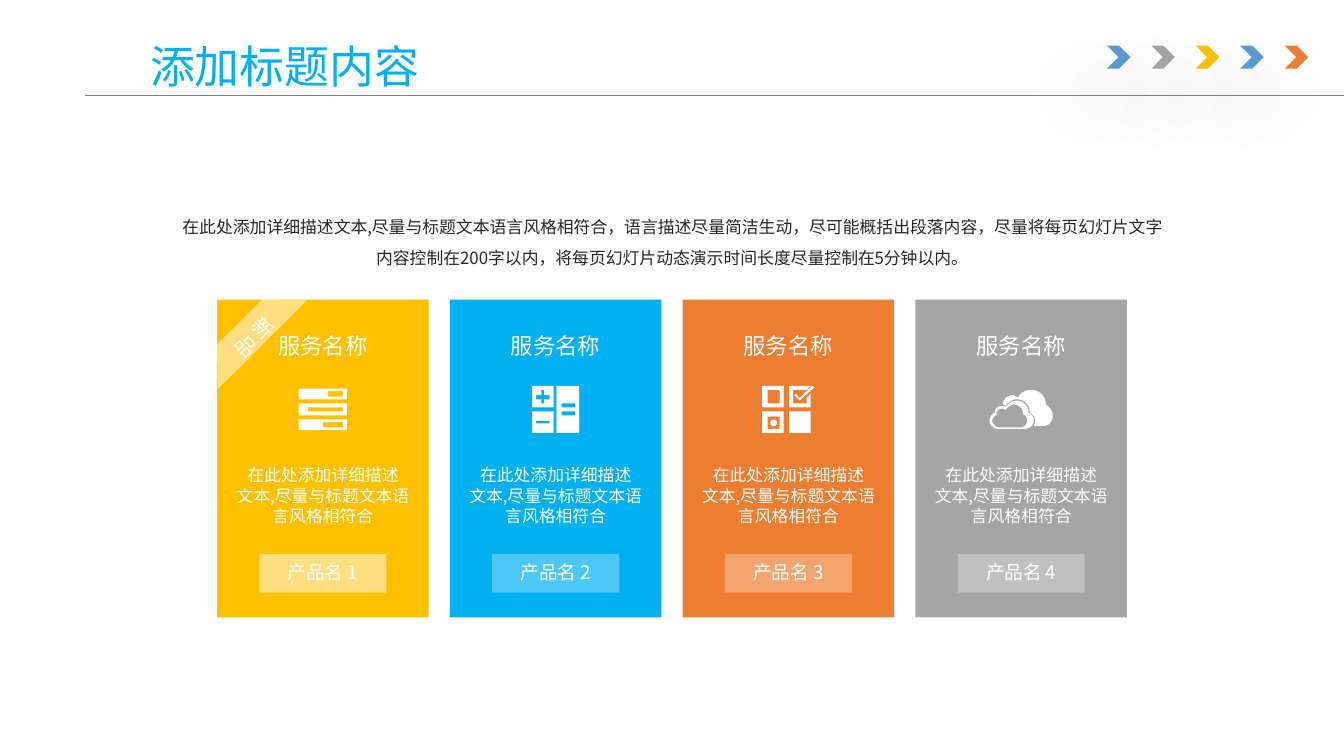
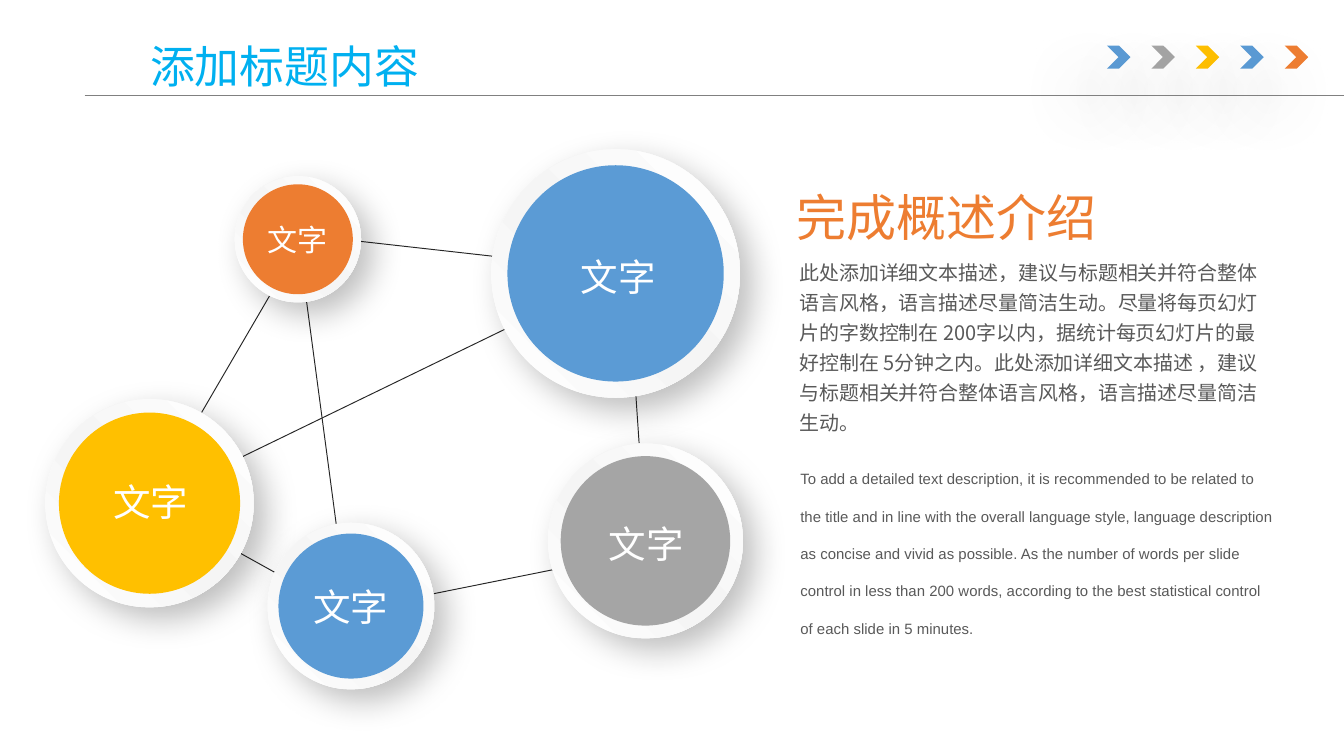
from dataclasses import dataclass
from math import cos, pi, sin

from lxml.etree import SubElement as Sub
from pptx import Presentation
from pptx.dml.color import RGBColor as Rgb
from pptx.enum.shapes import MSO_CONNECTOR as Wire, MSO_SHAPE as Kind
from pptx.enum.text import MSO_ANCHOR as Anchor, PP_ALIGN as Align
from pptx.oxml.ns import qn
from pptx.util import Pt


@dataclass(frozen=True)
class Theme:
    sky: str = "00B0F0"
    blue: str = "5B9BD5"
    gray: str = "A5A5A5"
    gold: str = "FFC000"
    rust: str = "ED7D31"
    white: str = "FFFFFF"
    pearl: str = "F5F5F5"
    ink: str = "262626"
    soft: str = "595959"
    rule: str = "808080"
    cjk: str = "Noto Sans CJK SC"
    latin: str = "Arial"
    title: float = 24
    lead: float = 26.8
    head: float = 12
    tag: float = 10
    ribbon: float = 11
    small: float = 9
    body: float = 10.7
    note: float = 8
    hair: float = 0.5
    pitch: float = 1.22  # line height of the CJK face, in ems


T = Theme()

# ---- Icon outlines, in hundredths of an inch; pairs are lines, sixes curves


def box(x, y, w, h):
    return [(x, y), (x + w, y), (x + w, y + h), (x, y + h)]


def dot(x, y, r, n=20):
    return [(x + r * cos(2 * pi * i / n), y + r * sin(2 * pi * i / n))
            for i in range(n)]


LIST = [box(18, 25, 15, 4), box(0, 23, 36, 8), box(7, 14, 26, 3),
        box(0, 11, 36, 9), box(22, 2, 11, 4), box(0, 0, 36, 8)]
SUMS = [box(3, 26, 10, 2), box(0, 19, 16, 16), box(22, 19, 10, 3),
        box(22, 13, 10, 3), box(18, 0, 17, 35), box(0, 0, 16, 16),
        [(7, 3), (7, 7), (3, 7), (3, 10), (7, 10), (7, 13),
         (9, 13), (9, 10), (13, 10), (13, 7), (9, 7), (9, 3)]]
CHECK = [dot(8.5, 27.5, 2.5), box(4, 23, 9, 9), box(20, 19, 16, 16),
         box(0, 19, 16, 16), box(4, 3, 9, 10), box(0, 0, 16, 16),
         [(20, 0), (36, 0), (33, 3), (23, 3), (23, 13), (33, 13),
          (33, 9), (36, 6), (36, 16), (20, 16)],
         [(37, 0), (39, 1), (29, 10), (28, 11), (24, 7), (25, 6), (28, 9)]]
CLOUD = [
    [(18, 11), (16, 11, 13, 13, 12, 15), (11, 14, 10, 14, 9, 14),
     (7, 14, 5, 16, 5, 18), (6, 18), (4, 19, 2, 21, 2, 23),
     (2, 25, 5, 28, 7, 28), (23, 28), (26, 28, 28, 25, 28, 23),
     (28, 21, 27, 19, 25, 18), (25, 14, 22, 11, 18, 11)],
    [(20, 8), (25, 8, 29, 12, 29, 17), (31, 18, 33, 20, 33, 23),
     (33, 26, 30, 29, 26, 29), (6, 29), (3, 29, 0, 26, 0, 23),
     (0, 20, 2, 18, 4, 17), (4, 14, 6, 12, 9, 12),
     (10, 12, 12, 12, 12, 13), (14, 10, 17, 8, 20, 8)],
    [(31, 0), (37, 0, 42, 5, 42, 11), (45, 13, 47, 16, 47, 19),
     (47, 24, 44, 27, 39, 27), (33, 27), (33, 26, 34, 25, 34, 23),
     (34, 20, 32, 18, 30, 17), (30, 11, 26, 7, 20, 7),
     (17, 7, 14, 9, 12, 12), (12, 12, 11, 11, 10, 11),
     (10, 7, 13, 4, 17, 4), (18, 4, 20, 5, 21, 6), (23, 2, 27, 0, 31, 0)]]
SASH = [[(0, 23.5), (24, 0), (24, 94), (0, 71)]]

# ---- Content
TITLE = "添加标题内容"
MARKS = [T.blue, T.gray, T.gold, T.blue, T.rust]
INTRO = ("在此处添加详细描述文本,尽量与标题文本语言风格相符合，语言描述尽量简洁生动，"
         "尽可能概括出段落内容，尽量将每页幻灯片文字内容控制在200字以内，"
         "将每页幻灯片动态演示时间长度尽量控制在5分钟以内。")
SERVICE = "服务名称"
DETAIL = ["在此处添加详细描述", "文本,尽量与标题文本语", "言风格相符合"]
NEW = "新品"
CARDS = [  # colour, icon, product, tag opacity
    (T.gold, LIST, "产品名 1", 50),
    (T.sky, SUMS, "产品名 2", 30),
    (T.rust, CHECK, "产品名 3", 30),
    (T.gray, CLOUD, "产品名 4", 30)]
LEAD = "完成概述介绍"
BODY = ("此处添加详细文本描述，建议与标题相关并符合整体语言风格，语言描述尽量简洁生动。"
        "尽量将每页幻灯片的字数控制在 200字以内，据统计每页幻灯片的最好控制在 5分钟之内。"
        "此处添加详细文本描述 ，建议与标题相关并符合整体语言风格，语言描述尽量简洁生动。")
NOTE = ("To add a detailed text description, it is recommended to be related to "
        "the title and in line with the overall language style, language "
        "description as concise and vivid as possible. As the number of words "
        "per slide control in less than 200 words, according to the best "
        "statistical control of each slide in 5 minutes.")
WORD = "文字"
NODES = [  # centre, ring width, colour, type size, shift of the word
    (80.1, 269.6, 111.6, T.gold, 20.1, 0.8, -0.8),
    (329.8, 146.5, 133.2, T.blue, 20.1, 1.4, 1.7),
    (345.8, 289.8, 104.4, T.gray, 20.1, 0.5, 1.6),
    (188, 324.7, 89.3, T.blue, 20.1, 0, 0.3),
    (159.6, 128.2, 67.7, T.rust, 16.1, -0.3, 0.3)]
LINKS = [(159.8, 128.2, 187.9, 339.1), (80.6, 268.6, 329.8, 147.6)]
LOOP = [(79.9, 269.3), (163.4, 126), (336.2, 145.4), (346.3, 295.2),
        (185, 327.6)]

# ---- Drawing helpers


def put(item, **vals):
    for key, val in vals.items():
        setattr(item, key, val)


def pts(*nums):
    return [Pt(n) for n in nums]


def paint(shape, color, alpha=None):
    shape.shadow.inherit = False
    shape.line.fill.background()
    shape.fill.solid()
    shape.fill.fore_color.rgb = Rgb.from_string(color)
    if alpha:
        tint = shape.fill._xPr.find(".//" + qn("a:srgbClr"))
        Sub(tint, qn("a:alpha"), val=str(alpha * 1000))


def shade(shape, alpha, blur, dist, angle):
    glow = Sub(shape._element.spPr.find(qn("a:effectLst")), qn("a:outerShdw"),
               blurRad=str(Pt(blur)), dist=str(Pt(dist)),
               dir=str(angle * 60000), algn="ctr", rotWithShape="0")
    tint = Sub(glow, qn("a:srgbClr"), val="000000")
    Sub(tint, qn("a:alpha"), val=str(alpha * 1000))


def blend(shape):
    """Three-stop pearl gradient."""
    shape.fill.gradient()
    grad = shape._element.spPr.find(qn("a:gradFill"))
    for kid in list(grad):
        grad.remove(kid)
    stops = Sub(grad, qn("a:gsLst"))
    for place, color in ((0, T.white), (47, T.pearl), (100, T.white)):
        stop = Sub(stops, qn("a:gs"), pos=str(place * 1000))
        Sub(stop, qn("a:srgbClr"), val=color)
    Sub(grad, qn("a:lin"), ang=str(315 * 60000), scaled="0")


def write(shape, lines, size, color, face=T.cjk, align=Align.CENTER,
          space=1, exact=None, **frame):
    """Fill a shape with paragraphs of one style."""
    text = shape.text_frame
    put(text, **{"word_wrap": True, "vertical_anchor": Anchor.TOP, **frame})
    if face == T.cjk:
        exact = round(size * T.pitch * space, 1)
    for i, line in enumerate(lines):
        para = text.add_paragraph() if i else text.paragraphs[0]
        para.alignment = align
        if exact:
            para.line_spacing = Pt(exact)
        run = para.add_run()
        run.text = line
        put(run.font, name=face, size=Pt(size))
        run.font.color.rgb = Rgb.from_string(color)
        Sub(run._r.get_or_add_rPr(), qn("a:ea"), typeface=face)


def label(host, area, lines, size, color, **style):
    write(host.add_textbox(*pts(*area)), lines, size, color, **style)


def line(host, x1, y1, x2, y2, color):
    wire = host.add_connector(Wire.STRAIGHT, *pts(x1, y1, x2, y2))
    wire.line.color.rgb = Rgb.from_string(color)
    wire.line.width = Pt(T.hair)
    Sub(wire._element.spPr, qn("a:effectLst"))


def disc(host, x, y, wide, color):
    shape = host.add_shape(Kind.OVAL, *pts(x - wide / 2, y - wide / 2, wide, wide))
    paint(shape, color)
    return shape


def trace(steps, cuts=8):
    """Turn lines and curves into plain points."""
    dots = [steps[0]]
    for step in steps[1:]:
        if len(step) == 2:
            dots.append(step)
            continue
        p, a, b, q = dots[-1], step[:2], step[2:4], step[4:]
        for t in (i / cuts for i in range(1, cuts + 1)):
            u = 1 - t
            dots.append(tuple(
                u**3 * p[k] + 3 * u * u * t * a[k] + 3 * u * t * t * b[k]
                + t**3 * q[k] for k in (0, 1)))
    return dots


def carve(host, parts, x, y, unit=0.72, mid=False):
    """Freeform at x, y, or centred there; unit is points per step."""
    fine = 100
    paths = [[(px * unit * fine, py * unit * fine) for px, py in trace(part)]
             for part in parts]
    if mid:
        x -= max(d[0] for path in paths for d in path) / fine / 2
        y -= max(d[1] for path in paths for d in path) / fine / 2
    pen = host.build_freeform(*paths[0][0], scale=Pt(1) / fine)
    for i, path in enumerate(paths):
        if i:
            pen.move_to(*path[0])
        pen.add_line_segments(path[1:], close=True)
    return pen.convert_to_shape(*pts(x, y))


# ---- Slides


def start(deck):
    """Blank slide with the shared header."""
    host = deck.slides.add_slide(deck.slide_layouts[6]).shapes
    for i, color in enumerate(MARKS):
        mark = host.add_shape(Kind.CHEVRON, *pts(593 + i * 23.8, 24.4, 12.6, 12.4))
        paint(mark, color)
        shade(mark, 38, 36, 24, 130)
    line(host, 45.4, 51.2, 720, 51.2, T.rule)
    label(host, (73.4, 0, 620.6, 69.6), [TITLE], T.title, T.sky,
          align=Align.LEFT, vertical_anchor=Anchor.MIDDLE)
    return host


def cards(deck):
    host = start(deck)
    wide, tall, gap, top, tag = 113.3, 170.2, 11.4, 160.6, 68
    left = (720 - len(CARDS) * (wide + gap) + gap) / 2
    for i, (color, icon, name, alpha) in enumerate(CARDS):
        x = left + i * (wide + gap)
        card = host.add_group_shape().shapes
        paint(card.add_shape(Kind.RECTANGLE, *pts(x, top, wide, tall)), color)
        label(card, (x, top + 13.6, wide, 21.6), [SERVICE], T.head, T.white)
        label(card, (x, top + 84.8, wide, 40.3), DETAIL, T.small, T.white)
        plate = card.add_shape(
            Kind.RECTANGLE, *pts(x + (wide - tag) / 2, top + 136.2, tag, 20.8))
        paint(plate, T.white, alpha)
        write(plate, [name], T.tag, T.white)
        if not i:
            sash = carve(card, SASH, x + 9.6, top - 15.9)
            sash.rotation = 45.2
            paint(sash, T.white, alpha)
            write(sash, [NEW], T.ribbon, T.white, face=T.latin,
                  vertical_anchor=Anchor.MIDDLE, margin_left=Pt(6),
                  margin_right=0, margin_top=Pt(0), margin_bottom=0)
        paint(carve(card, icon, x + wide / 2, top + 58.7, mid=True), T.white)
    label(host, (87.8, 106.8, 544.4, 38.2), [INTRO], T.small, T.ink, space=1.5)


def web(deck):
    host = start(deck)
    for link in LINKS:
        line(host, *link, T.ink)
    loop = carve(host, [LOOP], 0, 0, unit=1)
    loop.shadow.inherit = False
    loop.fill.background()
    loop.line.color.rgb = Rgb.from_string(T.ink)
    loop.line.width = Pt(T.hair)
    # Text column
    label(host, (419.8, 96.5, 176.4, 39.6), [LEAD], T.lead, T.rust,
          face=T.latin, align=Align.LEFT, word_wrap=False)
    label(host, (421.2, 132.7, 268, 103.8), [BODY], T.body, T.soft,
          align=Align.LEFT, space=1.23)
    label(host, (421.7, 237.8, 269.3, 124.6), [NOTE], T.note, T.soft,
          face=T.latin, align=Align.LEFT, exact=20)
    # Nodes: pearl ring, coloured disc, word
    for x, y, wide, color, size, dx, dy in NODES:
        node = host.add_group_shape().shapes
        ring = disc(node, x, y, wide, T.white)
        blend(ring)
        shade(ring, 25, 18, 9, 45)
        disc(node, x, y, wide * 0.87, color)
        w, h = size * 2 + 14.4, size * 1.2 + 7.2
        label(node, (x + dx - w / 2, y + dy - h / 2, w, h), [WORD], size,
              T.white, face=T.latin, word_wrap=False)


def main():
    deck = Presentation()
    put(deck, slide_width=Pt(720), slide_height=Pt(405))
    cards(deck)
    web(deck)
    deck.save("out.pptx")


if __name__ == "__main__":
    main()
